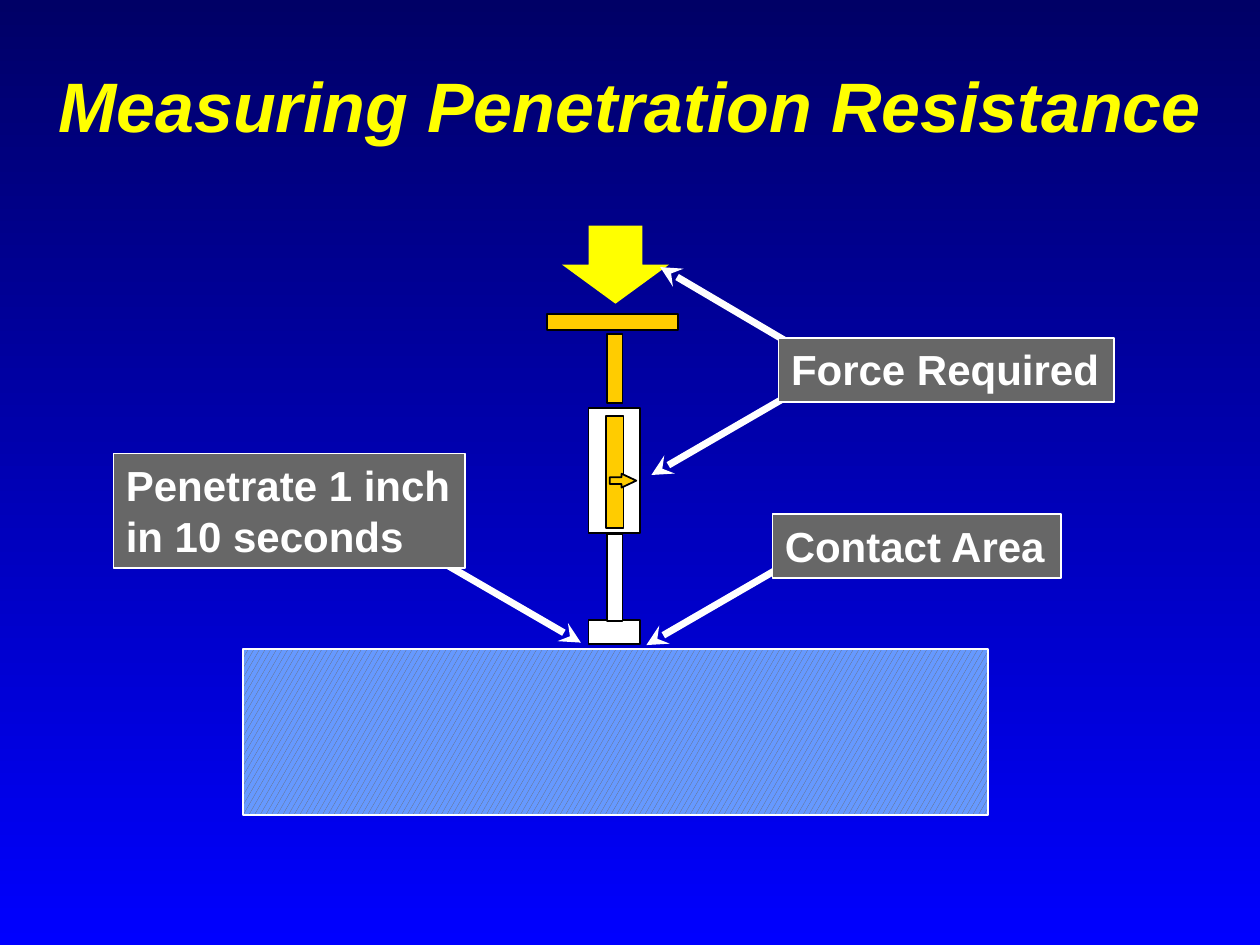
"""Build the slide on measuring penetration resistance."""
import pptx
import pptx.dml.color
import pptx.enum.dml
import pptx.enum.shapes
import pptx.enum.text
import pptx.oxml
import pptx.oxml.ns
import pptx.util

Inches = pptx.util.Inches
RGBColor = pptx.dml.color.RGBColor
MSO_SHAPE = pptx.enum.shapes.MSO_SHAPE
PP_ALIGN = pptx.enum.text.PP_ALIGN
MSO_ANCHOR = pptx.enum.text.MSO_ANCHOR
MSO_AUTO_SIZE = pptx.enum.text.MSO_AUTO_SIZE

NAVY = RGBColor(0x00, 0x00, 0x66)
BLUE = RGBColor(0x00, 0x00, 0xFF)
SOIL = RGBColor(0x66, 0x99, 0xFF)
GRAY = RGBColor(0x67, 0x67, 0x67)
GOLD = RGBColor(0xFF, 0xCC, 0x00)
YELLOW = RGBColor(0xFF, 0xFF, 0x00)
WHITE = RGBColor(0xFF, 0xFF, 0xFF)
BLACK = RGBColor(0x00, 0x00, 0x00)


def write(tf, text, size, color, italic=False, align=PP_ALIGN.LEFT,
          anchor=MSO_ANCHOR.TOP, wrap=False, auto_size=MSO_AUTO_SIZE.NONE):
    tf.word_wrap = wrap
    tf.auto_size = auto_size
    tf.vertical_anchor = anchor
    for i, line in enumerate(text.split("\n")):
        p = tf.add_paragraph() if i else tf.paragraphs[0]
        p.alignment = align
        r = p.add_run()
        r.text = line
        r.font.name = "Arial"
        r.font.size = pptx.util.Pt(size)
        r.font.bold = True
        r.font.italic = italic
        r.font.color.rgb = color


class Board:
    def __init__(self, slide):
        self.slide = slide
        self.shapes = slide.shapes
        self.line_width = pptx.util.Pt(1)
        self.arrow_width = pptx.util.Pt(4)

    def background(self, top, bottom):
        fill = self.slide.background.fill
        fill.gradient()
        fill.gradient_angle = 270
        for stop, color in zip(fill.gradient_stops, (top, bottom)):
            stop.color.rgb = color

    def title(self, text, x, y, w, h):
        sp = self.shapes.add_textbox(Inches(x), Inches(y), Inches(w), Inches(h))
        write(sp.text_frame, text, 40, YELLOW, italic=True, wrap=True,
              align=PP_ALIGN.CENTER, anchor=MSO_ANCHOR.BOTTOM)

    def shape(self, x, y, w, h, fill, line=None, kind=MSO_SHAPE.RECTANGLE, parent=None):
        shapes = parent.shapes if parent else self.shapes
        sp = shapes.add_shape(kind, Inches(x), Inches(y), Inches(w), Inches(h))
        sp.shadow.inherit = False
        sp.fill.solid()
        sp.fill.fore_color.rgb = fill
        if line is None:
            sp.line.fill.background()
        else:
            sp.line.color.rgb = line
            sp.line.width = self.line_width
        return sp

    def soil(self, x, y, w, h):
        sp = self.shape(x, y, w, h, SOIL, WHITE)
        sp.fill.patterned()
        sp.fill.pattern = pptx.enum.dml.MSO_PATTERN.LARGE_CONFETTI
        sp.fill.fore_color.rgb = GRAY
        sp.fill.back_color.rgb = SOIL

    def label(self, text, x, y, w, h):
        sp = self.shape(x, y, w, h, GRAY, WHITE)
        write(sp.text_frame, text, 24, WHITE, auto_size=MSO_AUTO_SIZE.SHAPE_TO_FIT_TEXT)

    def arrow(self, x1, y1, x2, y2):
        cxn = self.shapes.add_connector(
            pptx.enum.shapes.MSO_CONNECTOR.STRAIGHT,
            Inches(x1), Inches(y1), Inches(x2), Inches(y2))
        cxn.line.color.rgb = WHITE
        cxn.line.width = self.arrow_width
        ns = pptx.oxml.ns.nsdecls("a")
        cxn.line._get_or_add_ln().append(
            pptx.oxml.parse_xml(f'<a:tailEnd {ns} type="stealth"/>'))
        cxn._element.spPr.append(pptx.oxml.parse_xml(f"<a:effectLst {ns}/>"))

    def penetrometer(self):
        group = self.shapes.add_group_shape()
        parts = [
            (4.67, 4.92, 0.41, 0.19, WHITE),
            (4.82, 4.24, 0.12, 0.69, WHITE),
            (4.67, 3.24, 0.41, 0.99, WHITE),
            (4.81, 3.3, 0.14, 0.89, GOLD),
            (4.82, 2.65, 0.12, 0.55, GOLD),
            (4.34, 2.49, 1.04, 0.13, GOLD),
        ]
        for part in parts:
            self.shape(*part, BLACK, parent=group)
        pointer = self.shape(4.84, 3.76, 0.21, 0.11, GOLD, BLACK,
                             MSO_SHAPE.RIGHT_ARROW, group)
        pointer.adjustments[1] = 1.06


def main():
    prs = pptx.Presentation()
    prs.slide_width, prs.slide_height = Inches(10), Inches(7.5)
    board = Board(prs.slides.add_slide(prs.slide_layouts[6]))
    board.background(NAVY, BLUE)
    board.title("Measuring Penetration Resistance", 0.35, 0.4, 9.29, 0.81)
    board.soil(1.93, 5.15, 5.91, 1.32)
    board.penetrometer()
    board.shape(4.46, 1.79, 0.85, 0.62, YELLOW, kind=MSO_SHAPE.DOWN_ARROW)
    board.arrow(6.2, 4.5, 5.13, 5.12)
    board.arrow(3.54, 4.48, 4.61, 5.1)
    board.label("Penetrate 1 inch\nin 10 seconds", 0.9, 3.6, 2.79, 0.91)
    board.label("Contact Area", 6.13, 4.08, 2.29, 0.51)
    board.arrow(6.24, 3.15, 5.17, 3.77)
    board.arrow(6.31, 2.75, 5.24, 2.12)
    board.label("Force Required", 6.18, 2.68, 2.66, 0.51)
    prs.save("out.pptx")


if __name__ == "__main__":
    main()
